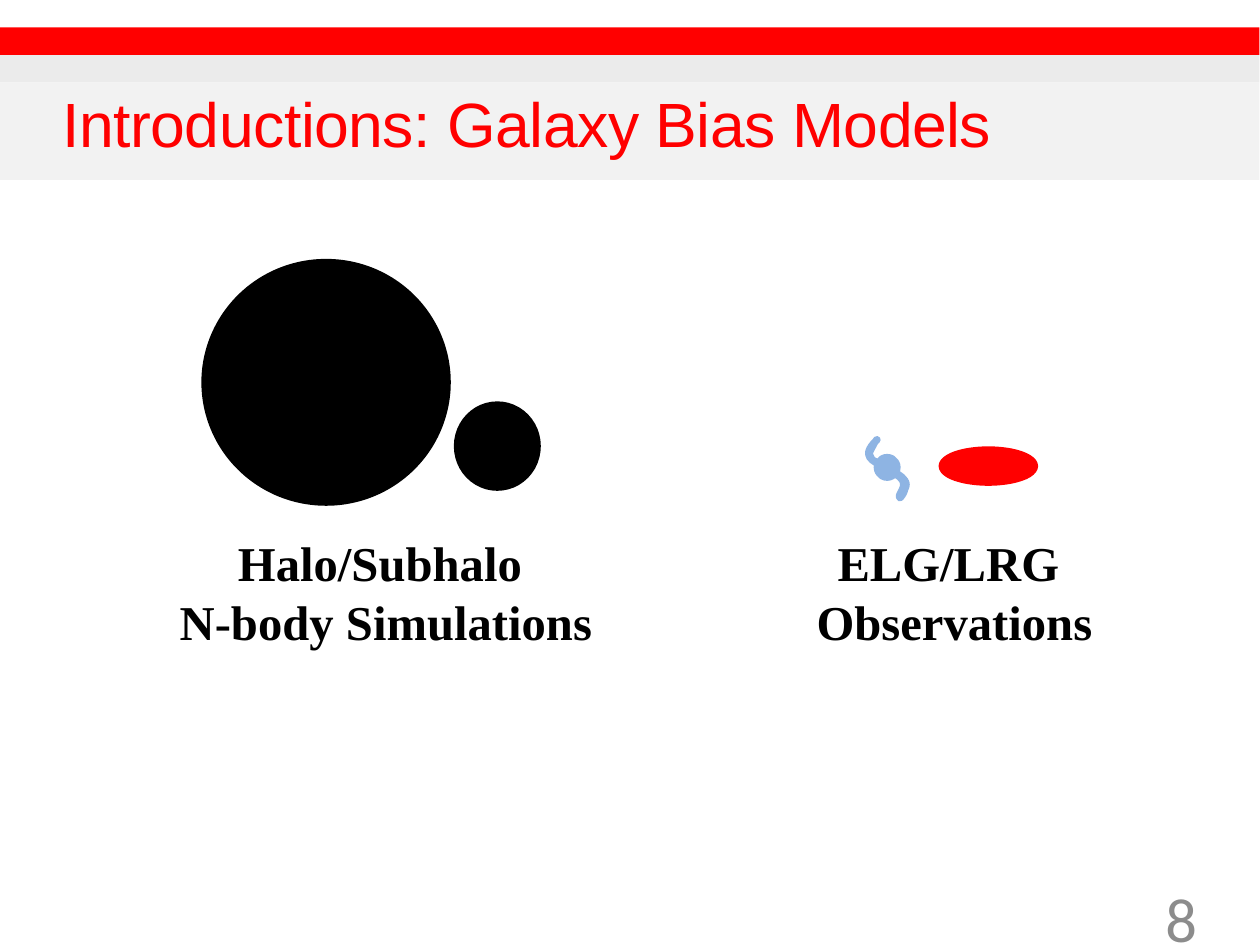
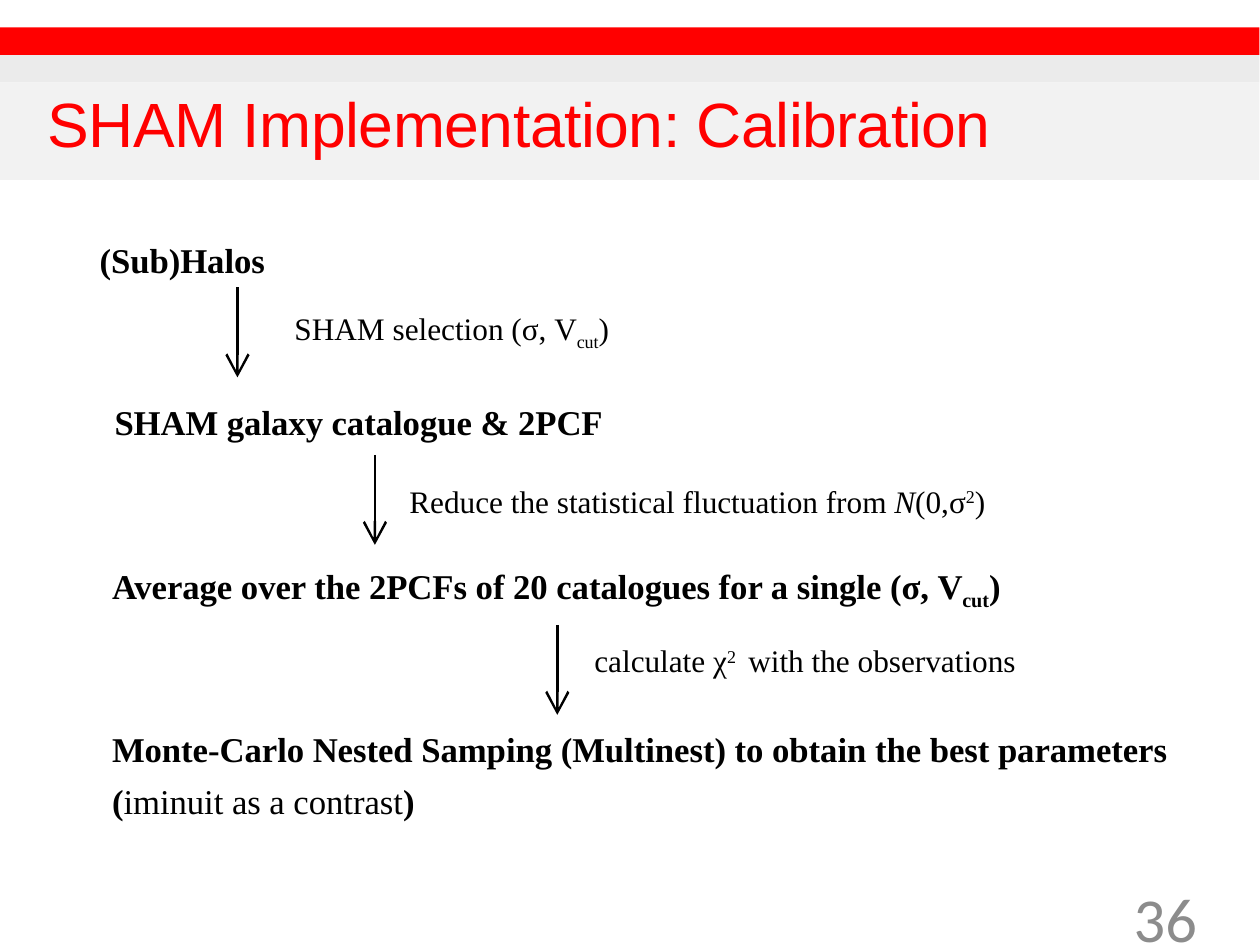
from lxml import etree
from pptx import Presentation
from pptx.dml.color import RGBColor
from pptx.enum.shapes import MSO_CONNECTOR, MSO_SHAPE
from pptx.enum.text import MSO_ANCHOR, MSO_AUTO_SIZE, PP_ALIGN
from pptx.oxml.ns import qn
from pptx.util import Inches, Pt

RECT, OVAL = MSO_SHAPE.RECTANGLE, MSO_SHAPE.OVAL
LINE = MSO_CONNECTOR.STRAIGHT
LEFT, MID, RIGHT = PP_ALIGN.LEFT, PP_ALIGN.CENTER, PP_ALIGN.RIGHT

RED = RGBColor(0xFF, 0x00, 0x00)
BLACK = RGBColor(0x00, 0x00, 0x00)
BLUE = RGBColor(0x8E, 0xB4, 0xE3)
GREY = RGBColor(0x8C, 0x8C, 0x8C)
SILVER = RGBColor(0xEB, 0xEB, 0xEB)
PALE = RGBColor(0xF2, 0xF2, 0xF2)

# The page is a whole number of half points
PAGE_W, PAGE_H = Pt(363), Pt(272.5)
WIDE = 5.04
SERIF = "Times New Roman"
BANDS = [(0.11, 0.11, RED), (0.22, 0.11, SILVER), (0.33, 0.39, PALE)]
SHIFT = {"sub": "-25000", "sup": "30000"}

# Spiral outline in hundredths of an inch: start, then Bezier triples
START = (5, 1)
CURVES = [
    ((5, 1), (0, 5), (2, 8)),
    ((4, 11), (13, 14), (15, 17)),
    ((17, 20), (13, 23), (14, 24)),
    ((14, 25), (16, 22), (16, 21)),
    ((17, 19), (17, 18), (15, 16)),
    ((14, 15), (12, 14), (9, 12)),
    ((7, 11), (5, 10), (3, 9)),
    ((2, 7), (2, 7), (2, 6)),
    ((3, 4), (5, 0), (5, 1)),
]

# Each stage: left, top, width, height, paragraphs of (text, style) runs
STAGES = [
    (0.3, 0.87, 1.31, 0.31, [[("(Sub)Halos", ""), (" ", "large")]]),
    (0.36, 1.52, 4.59, 0.31, [
        [("SHAM galaxy catalogue & 2PCF", ""), (" ", "large")]]),
    (0.35, 2.19, 4.22, 0.31, [[
        ("Average over the 2PCFs of 20 catalogues for a single (σ, V", ""),
        ("cut", "sub"), (")", ""), (" ", "large")]]),
    (0.35, 2.82, 4.52, 0.52, [
        [("Monte-Carlo Nested Samping (Multinest) to obtain "
          "the best parameters", "")],
        [("(", ""), ("iminuit as a contrast", "plain"), (")", "")]]),
]
# Each link: arrow x and top, then left, top, width and runs of its label
LINKS = [
    (0.95, 1.15, 1.08, 1.15, 2.41,
     [("SHAM selection (σ, V", ""), ("cut", "sub"), (")", "")]),
    (1.5, 1.82, 1.54, 1.82, 2.76,
     [("Reduce the statistical fluctuation from ", ""), ("N", "italic"),
      ("(0,σ", ""), ("2", "sup"), (")", "")]),
    (2.23, 2.5, 2.28, 2.46, 2.18,
     [("calculate χ", ""), ("2 ", "sup"), (" with the observations", "")]),
]


def paint(shape, color, width=None):
    shape.shadow.inherit = False
    shape.fill.solid()
    shape.fill.fore_color.rgb = color
    if width:
        shape.line.color.rgb = color
        shape.line.width = Pt(width)
    else:
        shape.line.fill.background()


def add_oval(slide, left, top, width, height, color):
    oval = slide.shapes.add_shape(
        OVAL, Inches(left), Inches(top), Inches(width), Inches(height))
    paint(oval, color, 2)


def set_font(para, name, size, color, bold=False):
    font = para.font
    font.name, font.size, font.bold = name, Pt(size), bold
    font.color.rgb = color


def add_text(slide, box, paras, size, bold=False, name=SERIF, color=BLACK,
             align=LEFT, pitch=15, inset=None):
    """Write paragraphs of (text, style) runs into a text box."""
    frame = slide.shapes.add_textbox(*map(Inches, box)).text_frame
    frame.word_wrap = True
    if inset is not None:
        frame.margin_left = frame.margin_right = Inches(inset)
        frame.margin_top = frame.margin_bottom = Inches(inset)
    for i, runs in enumerate(paras):
        para = frame.add_paragraph() if i else frame.paragraphs[0]
        para.alignment = align
        if pitch:
            para.line_spacing = Pt(pitch)
        set_font(para, name, size, color, bold)
        for text, style in runs:
            run = para.add_run()
            run.text = text
            if style in SHIFT:
                run._r.get_or_add_rPr().set("baseline", SHIFT[style])
            elif style == "italic":
                run.font.italic = True
            elif style == "plain":
                run.font.bold = False
            elif style == "large":
                run.font.size = Pt(12)


def add_title(slide, text, indent):
    title = slide.shapes.title
    title.left, title.top = Inches(0), Inches(0.32)
    title.width, title.height = Inches(WIDE), Inches(0.32)
    # The title goes in front of the bands
    title.element.getparent().append(title.element)
    frame = title.text_frame
    frame.auto_size = MSO_AUTO_SIZE.NONE
    frame.vertical_anchor = MSO_ANCHOR.TOP
    frame.margin_left, frame.margin_top = Inches(indent), Inches(0.02)
    frame.margin_right = frame.margin_bottom = 0
    para = frame.paragraphs[0]
    para.alignment = LEFT
    para.space_before = Pt(1.4)
    set_font(para, "Arial", 18, RED)
    run = para.add_run()
    run.text = text
    run._r.get_or_add_rPr().set("spc", "-14")


def add_page(deck, text, indent, number):
    """Add a slide with the shared bands, title and page number."""
    slide = deck.slides.add_slide(deck.slide_layouts[5])
    for top, height, color in BANDS:
        band = slide.shapes.add_shape(
            RECT, 0, Inches(top), Inches(WIDE), Inches(height))
        paint(band, color)
    add_title(slide, text, indent)
    add_text(slide, (3.63, 3.52, 1.16, 0.19), [[(number, "")]], 18,
             name="Calibri", color=GREY, align=RIGHT, pitch=None, inset=0)
    return slide


def add_label(slide, left, top, width, lines):
    add_text(slide, (left, top, width, 0.57), [[(line, "")] for line in lines],
             14, bold=True, align=MID, pitch=17)


def add_halos(slide, left, top):
    add_oval(slide, left + 0.27, top, 0.97, 0.96, BLACK)
    add_oval(slide, left + 1.28, top + 0.57, 0.32, 0.33, BLACK)
    add_label(slide, left, top + 1.03, 1.99,
              ["Halo/Subhalo ", "N-body Simulations"])


def trace(start, curves, steps=8):
    """Return points along a chain of cubic Bezier curves, in EMU."""
    points = []
    for ends in curves:
        knots = (start, *ends)
        for step in range(1, steps + 1):
            t = step / steps
            u = 1 - t
            parts = (u ** 3, 3 * u * u * t, 3 * u * t * t, t ** 3)
            points.append(tuple(
                Inches(sum(p * k[axis] for p, k in zip(parts, knots)) / 100)
                for axis in (0, 1)))
        start = ends[-1]
    return points


def add_spiral(slide, left, top):
    points = trace(START, CURVES)
    pen = slide.shapes.build_freeform(*points[-1])
    pen.add_line_segments(points, close=True)
    paint(pen.convert_to_shape(Inches(left), Inches(top)), BLUE, 2)
    add_oval(slide, left + 0.05, top + 0.08, 0.08, 0.08, BLUE)


def add_galaxies(slide, left, top):
    add_spiral(slide, left + 0.41, top)
    add_oval(slide, left + 0.72, top + 0.05, 0.37, 0.13, RED)
    add_label(slide, left, top + 0.33, 1.54, ["ELG/LRG ", "Observations"])


def add_arrow(slide, x, top, length=0.36):
    arrow = slide.shapes.add_connector(
        LINE, Inches(x), Inches(top), Inches(x), Inches(top + length))
    arrow.line.color.rgb = BLACK
    arrow.line.width = Pt(0.75)
    props = arrow.element.spPr
    etree.SubElement(props.find(qn("a:ln")), qn("a:tailEnd"), type="arrow")
    etree.SubElement(props, qn("a:effectLst"))


def add_flow(slide):
    for *box, paras in STAGES:
        add_text(slide, box, paras, 10, bold=True)
    for x, start, left, top, width, runs in LINKS:
        add_arrow(slide, x, start)
        add_text(slide, (left, top, width, 0.31), [runs], 9)


def main():
    deck = Presentation()
    deck.slide_width, deck.slide_height = PAGE_W, PAGE_H
    models = add_page(deck, "Introductions: Galaxy Bias Models", 0.25, "8")
    add_halos(models, 0.55, 1.05)
    add_galaxies(models, 3.05, 1.75)
    add_flow(add_page(deck, "SHAM Implementation: Calibration", 0.19, "36"))
    deck.save("out.pptx")


if __name__ == "__main__":
    main()
